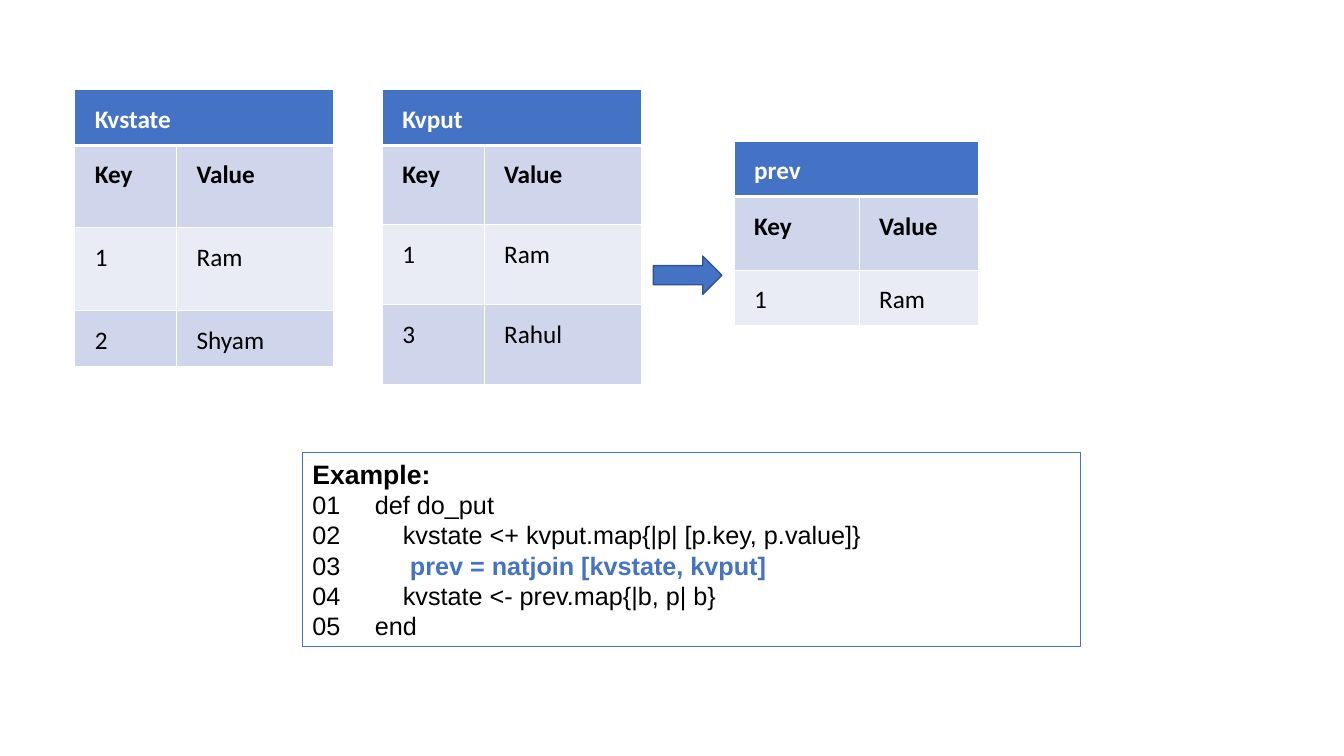
from lxml import etree
from pptx import Presentation
from pptx.dml.color import RGBColor
from pptx.enum import shapes, text
from pptx.oxml import ns
from pptx.util import Inches, Pt

BLUE = RGBColor(0x44, 0x72, 0xC4)
EDGE = RGBColor(0x31, 0x53, 0x8F)
BAND = RGBColor(0xCF, 0xD5, 0xEA)
PALE = RGBColor(0xE9, 0xEB, 0xF5)
WHITE = RGBColor(0xFF, 0xFF, 0xFF)
BLACK = RGBColor(0, 0, 0)

# Content: title, left, top, column widths, row heights, records
HEAD = ("Key", "Value")
TABLES = [
    ("Kvstate", 0.74, 0.89, (1.01, 1.56), (0.55, 0.82, 0.82, 0.55),
     [("1", "Ram"), ("2", "Shyam")]),
    ("Kvput", 3.79, 0.89, (1.01, 1.56), (0.55, 0.79, 0.79, 0.79),
     [("1", "Ram"), ("3", "Rahul")]),
    ("prev", 7.28, 1.4, (1.24, 1.18), (0.55, 0.73, 0.55),
     [("1", "Ram")]),
]
CODE = [
    "def do_put",
    "    kvstate <+ kvput.map{|p| [p.key, p.value]}",
    "     prev = natjoin [kvstate, kvput]",
    "    kvstate <- prev.map{|b, p| b}",
    "end",
]
KEY_LINE = 3


def add_sub(parent, tag, **attrs):
    return etree.SubElement(parent, ns.qn(tag), attrs)


def set_edges(cell, top, base):
    props = cell._tc.get_or_add_tcPr()
    sides = (("L", 0.75), ("R", 0.75), ("T", top), ("B", base))
    for i, (side, width) in enumerate(sides):
        line = etree.Element(ns.qn("a:ln" + side), w=str(int(Pt(width))))
        fill = add_sub(line, "a:solidFill")
        add_sub(fill, "a:srgbClr", val=str(WHITE))
        props.insert(i, line)


def fill_cell(cell, words, row):
    cell.fill.solid()
    cell.fill.fore_color.rgb = BLUE if row == 0 else BAND if row % 2 else PALE
    cell.margin_left = cell.margin_right = Inches(0.1)
    cell.margin_top = cell.margin_bottom = Inches(0.1)
    set_edges(cell, 2.29 if row == 1 else 0.75, 2.29 if row == 0 else 0.75)
    para = cell.text_frame.paragraphs[0]
    para.text = words
    para.line_spacing = 1.15
    props = para._p.get_or_add_pPr()
    props.set("marL", str(Inches(0.1)))
    props.set("indent", "0")
    font = para.font
    font.name, font.size, font.bold = "Calibri", Pt(18), row < 2
    font.color.rgb = WHITE if row == 0 else BLACK


def draw_table(slide, title, left, top, cols, rows, data):
    frame = slide.shapes.add_table(
        len(rows), len(cols), Inches(left), Inches(top),
        Inches(sum(cols)), Inches(sum(rows)))
    table = frame.table
    for col, width in zip(table.columns, cols):
        col.width = Inches(width)
    for row, height in zip(table.rows, rows):
        row.height = Inches(height)
    table.cell(0, 0).merge(table.cell(0, 1))
    for r, record in enumerate([(title, ""), HEAD, *data]):
        for c, words in enumerate(record):
            fill_cell(table.cell(r, c), words, r)


def draw_arrow(slide):
    arrow = slide.shapes.add_shape(
        shapes.MSO_SHAPE.RIGHT_ARROW,
        Inches(6.48), Inches(2.54), Inches(0.68), Inches(0.38))
    arrow.shadow.inherit = False
    arrow.fill.solid()
    arrow.fill.fore_color.rgb = BLUE
    arrow.line.color.rgb = EDGE
    arrow.line.width = Pt(1)


def draw_code(slide):
    box = slide.shapes.add_textbox(
        Inches(3), Inches(4.49), Inches(7.72), Inches(1.92))
    box.line.color.rgb = BLUE
    box.line.width = Pt(0.75)
    frame = box.text_frame
    frame.word_wrap = True
    frame.auto_size = text.MSO_AUTO_SIZE.SHAPE_TO_FIT_TEXT
    para = frame.paragraphs[0]
    para.text = "Example:"
    font = para.font
    font.name, font.size, font.bold = "Arial", Pt(19), True
    font.color.rgb = BLACK
    for num, line in enumerate(CODE, 1):
        para = frame.add_paragraph()
        # A tab stop sets the code off from its line number
        tabs = add_sub(para._p.get_or_add_pPr(), "a:tabLst")
        add_sub(tabs, "a:tab", pos=str(Inches(0.62)), algn="l")
        para.font.name, para.font.size = "Arial", Pt(18)
        for words, key in ((f"{num:02}\t", False), (line, num == KEY_LINE)):
            run = para.add_run()
            run.text = words
            run.font.bold = key
            run.font.color.rgb = BLUE if key else BLACK


def main():
    deck = Presentation()
    deck.slide_width, deck.slide_height = Inches(13.33), Inches(7.5)
    slide = deck.slides.add_slide(deck.slide_layouts[6])
    for item in TABLES:
        draw_table(slide, *item)
    draw_arrow(slide)
    draw_code(slide)
    deck.save("out.pptx")


if __name__ == "__main__":
    main()
